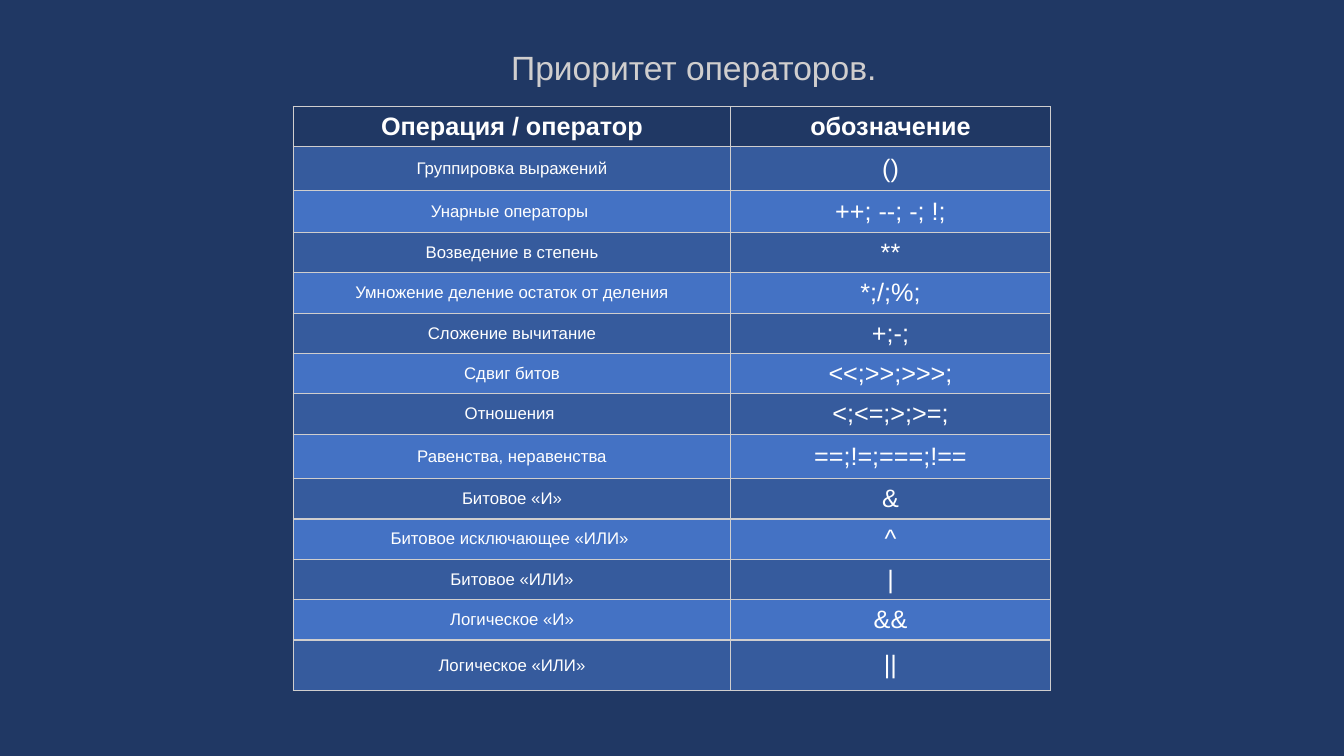
from lxml import etree
from pptx import Presentation
from pptx.dml.color import RGBColor
from pptx.enum.text import MSO_ANCHOR, PP_ALIGN
from pptx.oxml.ns import qn
from pptx.util import Pt

CENTER = PP_ALIGN.CENTER
MIDDLE = MSO_ANCHOR.MIDDLE
FONT = "Arial"
NAVY, DARK, LIGHT = "203864", "365B9D", "4472C4"
GREY, WHITE = "D0CECE", "FFFFFF"
COLUMNS = (312.5, 228.2)
ROWS = (
    ("Операция / оператор", "обозначение", 28.8),
    ("Группировка выражений", "()", 31),
    ("Унарные операторы ", "++; --; -; !;", 30.2),
    ("Возведение в степень", "**", 28.8),
    ("Умножение деление остаток от деления", "*;/;%;", 28.8),
    ("Сложение вычитание", "+;-;", 28.8),
    ("Сдвиг битов", "<<;>>;>>>;", 27.4),
    ("Отношения ", "<;<=;>;>=;", 28),
    ("Равенства, неравенства", "==;!=;===;!==", 31.7),
    ("Битовое «И»", "&", 27.4),
    ("Битовое исключающее «ИЛИ» ", "^", 28.8),
    ("Битовое «ИЛИ»", "|", 28.8),
    ("Логическое «И»", "&&", 27.4),
    ("Логическое «ИЛИ»", "||", 36),
)


def rgb(value):
    """Turn a hex string into a colour."""
    return RGBColor.from_string(value)


def add_text(tf, text, size, color, bold=False):
    """Write one centred run into the first paragraph of a frame."""
    p = tf.paragraphs[0]
    p.alignment = CENTER
    r = p.add_run()
    r.text = text
    r.font.name = FONT
    r.font.size = Pt(size)
    r.font.bold = bold
    r.font.color.rgb = rgb(color)
    return p


def add_borders(cell, color, width):
    """Draw a solid line on all four sides of a cell."""
    props = cell._tc.get_or_add_tcPr()
    for i, side in enumerate(("a:lnL", "a:lnR", "a:lnT", "a:lnB")):
        line = etree.Element(qn(side), w=str(Pt(width)))
        fill = etree.SubElement(line, qn("a:solidFill"))
        etree.SubElement(fill, qn("a:srgbClr"), val=color)
        props.insert(i, line)


def add_title(s, x, y, w, h):
    """Place the slide title in the given box."""
    tf = s.shapes.add_textbox(Pt(x), Pt(y), Pt(w), Pt(h)).text_frame
    tf.word_wrap = True
    tf.vertical_anchor = MIDDLE
    p = add_text(tf, "Приоритет операторов. ", 24, GREY)
    p.line_spacing = 0.9


def add_operators(s, x, y):
    """Place the operator table with its top left corner at a point."""
    height = sum(row[-1] for row in ROWS)
    table = s.shapes.add_table(
        len(ROWS), len(COLUMNS), Pt(x), Pt(y), Pt(sum(COLUMNS)), Pt(height)
    ).table
    for column, width in zip(table.columns, COLUMNS):
        column.width = Pt(width)
    for i, (*texts, row_height) in enumerate(ROWS):
        table.rows[i].height = Pt(row_height)
        header = i == 0
        color = NAVY if header else DARK if i % 2 else LIGHT
        for j, text in enumerate(texts):
            cell = table.cell(i, j)
            cell.vertical_anchor = MIDDLE
            cell.fill.solid()
            cell.fill.fore_color.rgb = rgb(color)
            add_borders(cell, GREY, 1)
            size = 18 if header or j else 12
            add_text(cell.text_frame, text, size, WHITE, header)


def main():
    """Build the slide and save it."""
    prs = Presentation()
    prs.slide_width, prs.slide_height = Pt(960), Pt(540)
    s = prs.slides.add_slide(prs.slide_layouts[6])
    s.background.fill.solid()
    s.background.fill.fore_color.rgb = rgb(NAVY)
    add_title(s, 85, 31.7, 828, 36)
    add_operators(s, 209.5, 76)
    prs.save("out.pptx")


if __name__ == "__main__":
    main()
